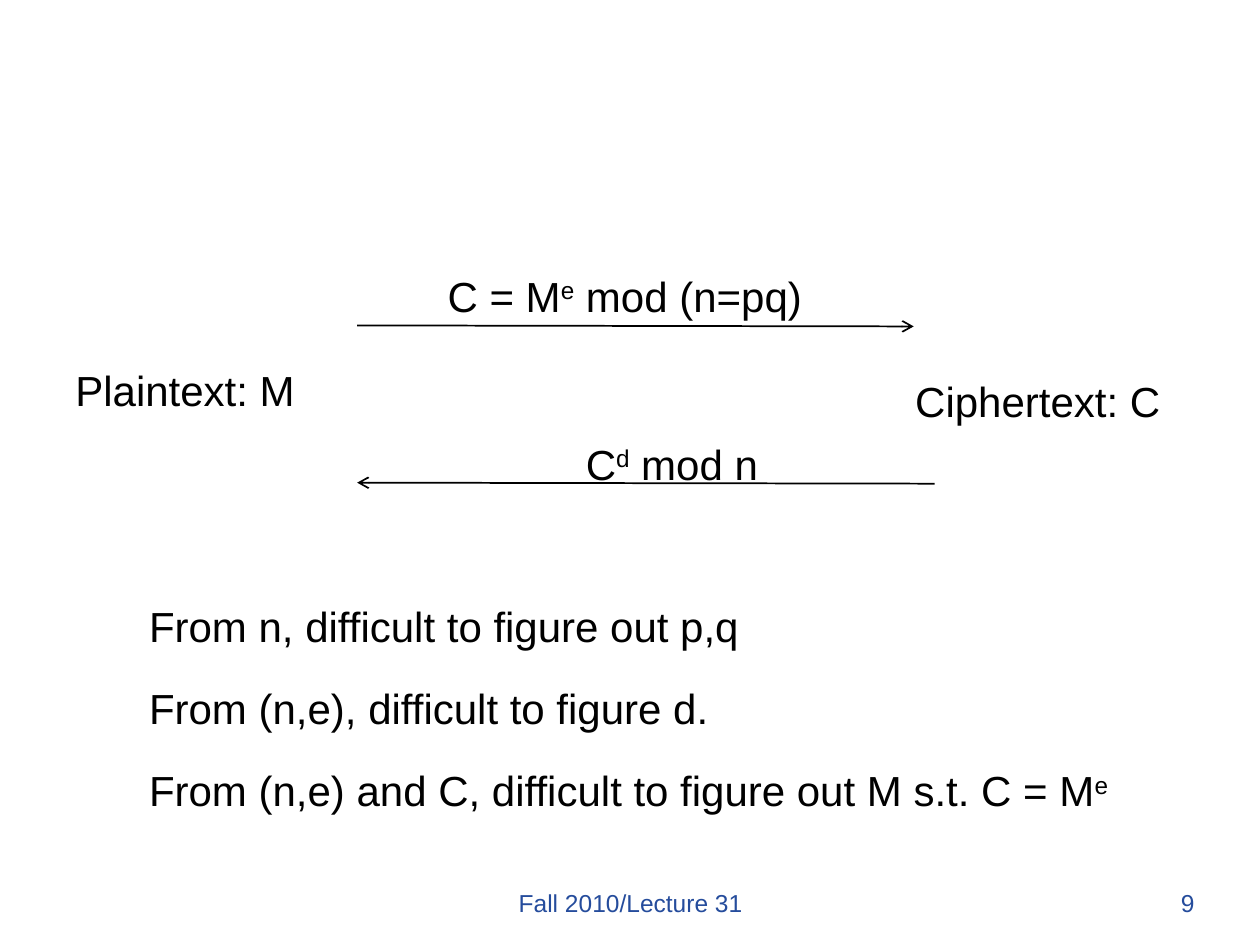
from dataclasses import dataclass

from lxml.etree import SubElement
from pptx import Presentation
from pptx.dml.color import RGBColor
from pptx.enum.shapes import MSO_CONNECTOR
from pptx.enum.text import MSO_ANCHOR, MSO_AUTO_SIZE, PP_ALIGN
from pptx.oxml.ns import qn
from pptx.util import Cm, Pt


@dataclass(frozen=True)
class Theme:
    font: str = "Arial"
    ink: RGBColor = RGBColor(0x00, 0x00, 0x00)
    footer: RGBColor = RGBColor(0x25, 0x4C, 0x9C)
    background: RGBColor = RGBColor(0xFF, 0xFF, 0xFF)
    text_size: Pt = Pt(24)
    footer_size: Pt = Pt(14)
    line_width: Pt = Pt(1)
    line_spacing: float = 1.4
    paragraph_gap: Pt = Pt(6.5)


class SlideBuilder:
    def __init__(self, prs, theme):
        self.theme = theme
        self.slide = prs.slides.add_slide(prs.slide_layouts[1])
        fill = self.slide.background.fill
        fill.solid()
        fill.fore_color.rgb = theme.background
        title = self.slide.shapes.title
        title._element.getparent().remove(title._element)

    def add_runs(self, p, text, size, color, align):
        """Fill a paragraph; parts between carets become superscript."""
        p.alignment = align
        for i, part in enumerate(text.split("^")):
            if not part:
                continue
            r = p.add_run()
            r.text = part
            r.font.name = self.theme.font
            r.font.size = size
            r.font.color.rgb = color
            if i % 2:
                r._r.get_or_add_rPr().set("baseline", "30000")

    def text_box(self, box, text, size, color, align):
        sp = self.slide.shapes.add_textbox(*map(Cm, box))
        tf = sp.text_frame
        tf.word_wrap = True
        self.add_runs(tf.paragraphs[0], text, size, color, align)
        return tf

    def label(self, box, text, align=PP_ALIGN.LEFT):
        t = self.theme
        tf = self.text_box(box, text, t.text_size, t.ink, align)
        tf.auto_size = MSO_AUTO_SIZE.SHAPE_TO_FIT_TEXT
        tf.paragraphs[0].line_spacing = t.line_spacing

    def footer(self, box, text, align):
        t = self.theme
        self.text_box(box, text, t.footer_size, t.footer, align)

    def arrow(self, start, end):
        line = self.slide.shapes.add_connector(
            MSO_CONNECTOR.STRAIGHT, *map(Cm, start + end))
        line.line.color.rgb = self.theme.ink
        line.line.width = self.theme.line_width
        SubElement(line.line._get_or_add_ln(), qn("a:tailEnd"), type="arrow")
        SubElement(line._element.spPr, qn("a:effectLst"))

    def body(self, box, lines):
        """Place the body placeholder as a list without bullets."""
        t = self.theme
        sp = self.slide.placeholders[1]
        sp.left, sp.top, sp.width, sp.height = map(Cm, box)
        tf = sp.text_frame
        tf.auto_size = MSO_AUTO_SIZE.NONE
        tf.vertical_anchor = MSO_ANCHOR.TOP
        for i, text in enumerate(lines):
            p = tf.add_paragraph() if i else tf.paragraphs[0]
            pPr = p._p.get_or_add_pPr()
            pPr.set("marL", "0")
            pPr.set("indent", "0")
            SubElement(pPr, qn("a:buNone"))
            p.line_spacing = t.line_spacing
            p.space_before = t.paragraph_gap if i else Pt(0)
            self.add_runs(p, text, t.text_size, t.ink, PP_ALIGN.LEFT)


def main():
    prs = Presentation()
    prs.slide_width, prs.slide_height = Cm(25.4), Cm(19.05)
    s = SlideBuilder(prs, Theme())

    s.label((1.27, 6.82, 5.5, 1.7), "Plaintext: M")
    s.label((18.2, 7.03, 6.35, 1.7), "Ciphertext: C")

    s.arrow((7.2, 6.56), (18.42, 6.58))
    s.label((7.41, 4.92, 10.37, 1.52), "C = M^e^ mod (n=pq)", PP_ALIGN.CENTER)
    s.arrow((18.84, 9.75), (7.2, 9.73))
    s.label((8.89, 8.3, 9.31, 1.52), "C^d^ mod n", PP_ALIGN.CENTER)

    s.body((2.75, 11.58, 20.75, 4.98), [
        "From n, difficult to figure out p,q",
        "From (n,e), difficult to figure d.",
        "From (n,e) and C, difficult to figure out M s.t. C = M^e^",
    ])

    s.footer((8.69, 17.78, 8.05, 1.27), "Fall 2010/Lecture 31", PP_ALIGN.CENTER)
    s.footer((19.05, 17.78, 5.28, 1.27), "9", PP_ALIGN.RIGHT)

    prs.save("out.pptx")


if __name__ == "__main__":
    main()
